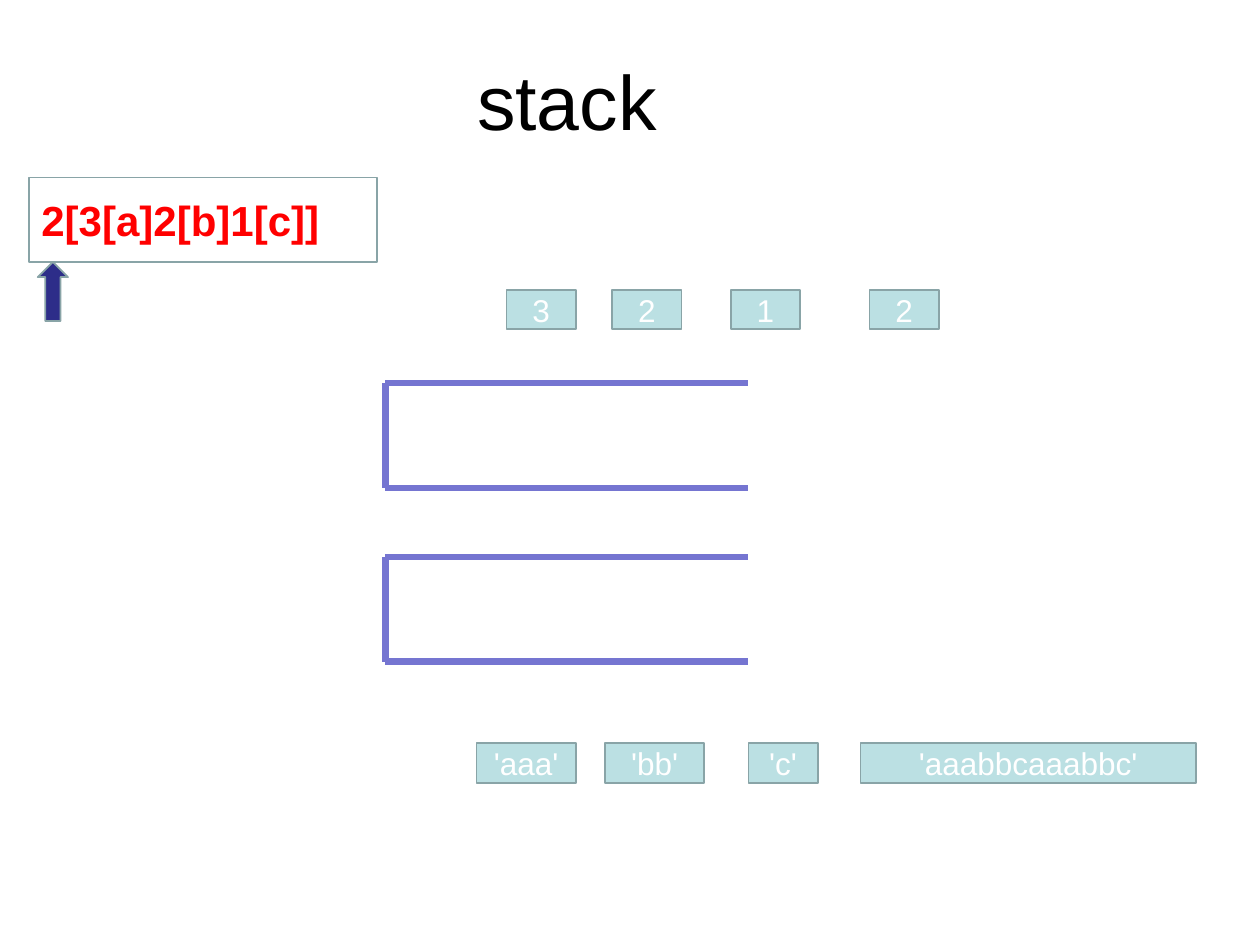
from lxml import etree
from pptx import Presentation
from pptx.dml.color import RGBColor
from pptx.enum import shapes as kinds, text
from pptx.oxml.ns import qn
from pptx.util import Pt

BLACK = RGBColor(0x00, 0x00, 0x00)
WHITE = RGBColor(0xFF, 0xFF, 0xFF)
RED = RGBColor(0xFF, 0x00, 0x00)
VIOLET = RGBColor(0x75, 0x75, 0xD1)
NAVY = RGBColor(0x2D, 0x2D, 0x89)
AQUA = RGBColor(0xBB, 0xE0, 0xE3)
GREY = RGBColor(0x89, 0xA4, 0xA7)

KIND = kinds.MSO_SHAPE
ALIGN = text.PP_ALIGN


def write(shape, words, size, color, align=ALIGN.CENTER, bold=False):
    frame = shape.text_frame
    frame.text = words
    frame.vertical_anchor = text.MSO_ANCHOR.MIDDLE
    para = frame.paragraphs[0]
    para.alignment = align
    para.font.color.rgb = color
    style = {"name": "Arial", "size": Pt(size), "bold": bold}
    for key, value in style.items():
        setattr(para.font, key, value)


def add_shape(slide, kind, box, fill=None):
    shape = slide.shapes.add_shape(kind, *map(Pt, box))
    shape.shadow.inherit = False
    if fill is None:
        shape.fill.background()
    else:
        shape.fill.solid()
        shape.fill.fore_color.rgb = fill
    shape.line.color.rgb = GREY
    shape.line.width = Pt(1)
    return shape


def add_title(slide, box, words):
    title = slide.shapes.title
    for key, value in zip(("left", "top", "width", "height"), box):
        setattr(title, key, Pt(value))
    write(title, words, 44, BLACK)


def add_stack(slide, box):
    """Draw a stack lying on its side, open to the right."""
    left, top, width, height = box
    right, low = left + width, top + height
    group = slide.shapes.add_group_shape()
    sides = [(left, top, right, top),
             (left, low, right, low),
             (left, top, left, low)]
    for ends in sides:
        side = group.shapes.add_connector(
            kinds.MSO_CONNECTOR.STRAIGHT, *map(Pt, ends))
        side.line.color.rgb = VIOLET
        side.line.width = Pt(3.5)
        etree.SubElement(side._element.spPr, qn("a:effectLst"))


def add_items(slide, box, items):
    """Set a row of tiles, each given as offset, width and words."""
    left, top, height = box
    for shift, width, words in items:
        tile = add_shape(slide, KIND.RECTANGLE,
                         (left + shift, top, width, height), AQUA)
        write(tile, words, 18, WHITE)


def add_input(slide, box, words):
    """Show the encoded string with a pointer under its first letter."""
    left, top, width, height = box
    add_shape(slide, KIND.UP_ARROW,
              (left + 5, top + height, 17.3, 33.8), NAVY)
    field = add_shape(slide, KIND.RECTANGLE, box)
    write(field, words, 24, RED, ALIGN.LEFT, True)


def main():
    deck = Presentation()
    deck.slide_width, deck.slide_height = Pt(720), Pt(540)
    slide = deck.slides.add_slide(deck.slide_layouts[5])

    add_title(slide, (0, 30.2, 648, 53.3), "stack")
    for top in (219, 318.3):
        add_stack(slide, (220.3, top, 207.4, 59.7))
    add_items(slide, (289.4, 165.6, 22.5),
              [(0, 39.6, "3"), (60.5, 39.6, "2"),
               (128.2, 39.6, "1"), (207.4, 39.6, "2")])
    add_items(slide, (272.2, 424.8, 22.5),
              [(0, 56.9, "'aaa'"), (73.4, 56.9, "'bb'"),
               (155.5, 39.6, "'c'"), (219.6, 191.5, "'aaabbcaaabbc'")])
    add_input(slide, (16.6, 101.5, 198.7, 48.2), "2[3[a]2[b]1[c]]")

    deck.save("out.pptx")


if __name__ == "__main__":
    main()
